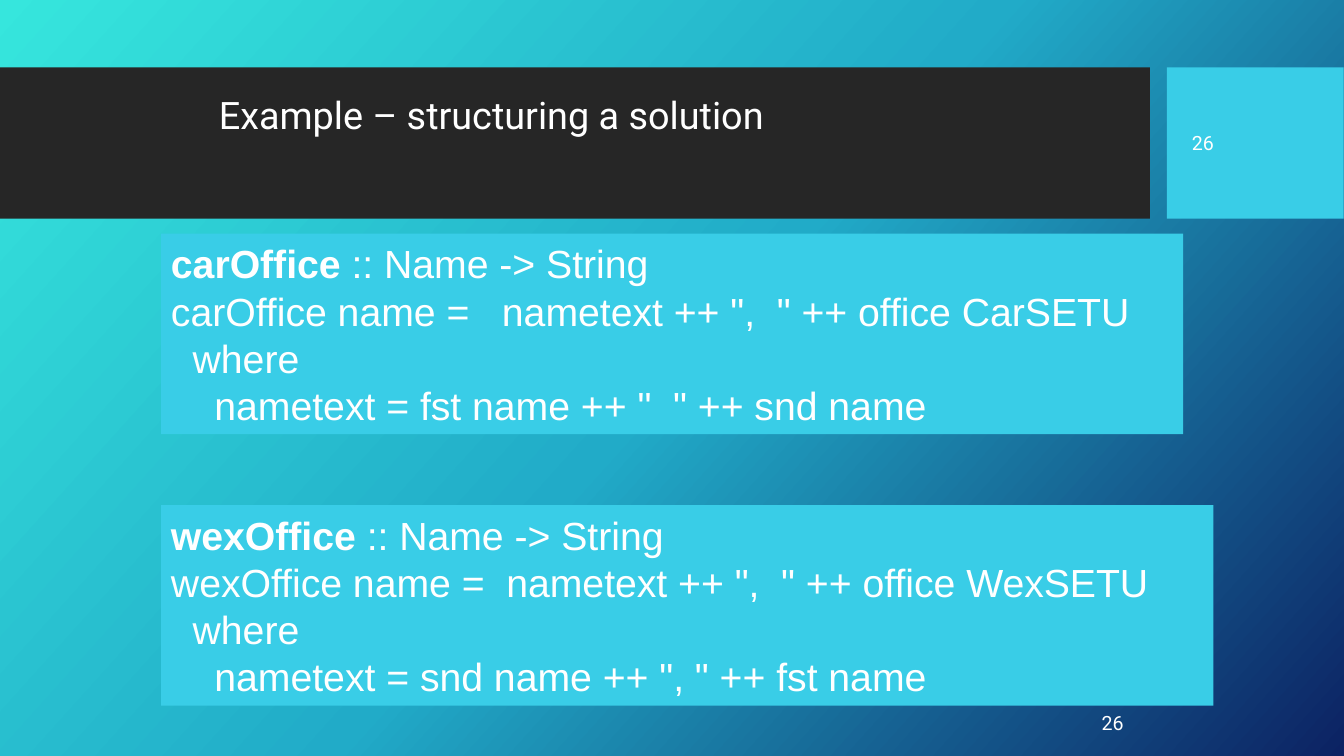
import copy

import pptx
import pptx.dml.color
import pptx.enum.shapes
import pptx.enum.text
import pptx.oxml.ns
import pptx.util
from pptx.util import Cm

WHITE = "FFFFFF"
CYAN = "39CDE7"
CHARCOAL = "262626"
CODE_LEFT = 4.06
CODE_HEIGHT = 5.05
ANCHOR = pptx.enum.text.MSO_ANCHOR
AUTO_SIZE = pptx.enum.text.MSO_AUTO_SIZE


def rgb(hex_value):
    """Turn a hex string into a colour."""
    return pptx.dml.color.RGBColor.from_string(hex_value)


def paint_background(slide, colours, angle):
    """Fill the slide with evenly spaced gradient colours at a clockwise angle."""
    fill = slide.background.fill
    fill.gradient()
    fill.gradient_angle = 360 - angle
    stop_list = next(slide.element.iter(pptx.oxml.ns.qn("a:gsLst")))
    while len(stop_list) < len(colours):
        stop_list.append(copy.deepcopy(stop_list[0]))
    for index, (stop, colour) in enumerate(zip(fill.gradient_stops, colours)):
        stop.color.rgb = rgb(colour)
        stop.position = index / (len(colours) - 1)


def add_panel(slide, left, top, width, height, colour):
    """Add a plain rectangle measured in centimetres."""
    panel = slide.shapes.add_shape(
        pptx.enum.shapes.MSO_SHAPE.RECTANGLE,
        Cm(left), Cm(top), Cm(width), Cm(height))
    panel.shadow.inherit = False
    panel.fill.solid()
    panel.fill.fore_color.rgb = rgb(colour)
    panel.line.fill.background()
    return panel


def write_text(shape, lines, size=14, font="Roboto", anchor=ANCHOR.TOP,
               auto_size=AUTO_SIZE.NONE, line_spacing=None, space_after=None):
    """Write lines of (text, bold) runs into a shape."""
    frame = shape.text_frame
    frame.word_wrap = True
    frame.auto_size = auto_size
    frame.vertical_anchor = anchor
    for index, runs in enumerate(lines):
        paragraph = frame.add_paragraph() if index else frame.paragraphs[0]
        paragraph.alignment = pptx.enum.text.PP_ALIGN.LEFT
        paragraph.line_spacing = line_spacing
        paragraph.space_after = space_after
        for text, bold in runs:
            run = paragraph.add_run()
            run.text = text
            run.font.name = font
            run.font.size = pptx.util.Pt(size)
            run.font.bold = bold
            run.font.color.rgb = rgb(WHITE)


def add_title(slide, text):
    """Place the title on top of the header band."""
    title = slide.shapes.title
    title.element.getparent().append(title.element)
    title.left, title.top = Cm(5.26), Cm(1.8)
    title.width, title.height = Cm(23.34), Cm(1.8)
    write_text(title, [[(text, False)]], size=27, anchor=ANCHOR.BOTTOM,
               line_spacing=0.9)


def add_page_number(slide, left, top, width, height, **text_format):
    """Add the page number in a text box."""
    number = slide.shapes.add_textbox(Cm(left), Cm(top), Cm(width), Cm(height))
    write_text(number, [[("26", False)]], **text_format)


def add_code(slide, top, width, function_name, signature, body):
    """Add a code panel whose first line has a bold function name."""
    panel = add_panel(slide, CODE_LEFT, top, width, CODE_HEIGHT, CYAN)
    lines = [[(function_name, True), (signature, False)]]
    lines += [[(line, False)] for line in body]
    write_text(panel, lines, size=28, font="Arial", anchor=ANCHOR.MIDDLE,
               auto_size=AUTO_SIZE.SHAPE_TO_FIT_TEXT)


def main():
    """Build and save the slide."""
    deck = pptx.Presentation()
    deck.slide_width, deck.slide_height = Cm(33.87), Cm(19.05)
    slide = deck.slides.add_slide(deck.slide_layouts.get_by_name("Title Only"))
    paint_background(slide, ["36E6DD", "21ABC8", "0C2263"], 42)

    add_panel(slide, 0, 1.7, 28.98, 3.81, CHARCOAL)
    add_panel(slide, 29.41, 1.7, 4.45, 3.81, CYAN)
    add_title(slide, "Example – structuring a solution")
    add_page_number(slide, 27.51, 17.78, 1.7, 0.84,
                    space_after=pptx.util.Pt(6))

    add_code(slide, 12.73, 26.52, "wexOffice", " :: Name -> String", [
        'wexOffice name =  nametext ++ ",  " ++ office WexSETU',
        "  where",
        '    nametext = snd name ++ ", " ++ fst name',
    ])
    add_code(slide, 5.89, 25.76, "carOffice ", ":: Name -> String", [
        'carOffice name =   nametext ++ ",  " ++ office CarSETU',
        "  where",
        '    nametext = fst name ++ "  " ++ snd name',
    ])
    add_page_number(slide, 29.79, 2.08, 3.2, 3.02, anchor=ANCHOR.MIDDLE)
    deck.save("out.pptx")


if __name__ == "__main__":
    main()
